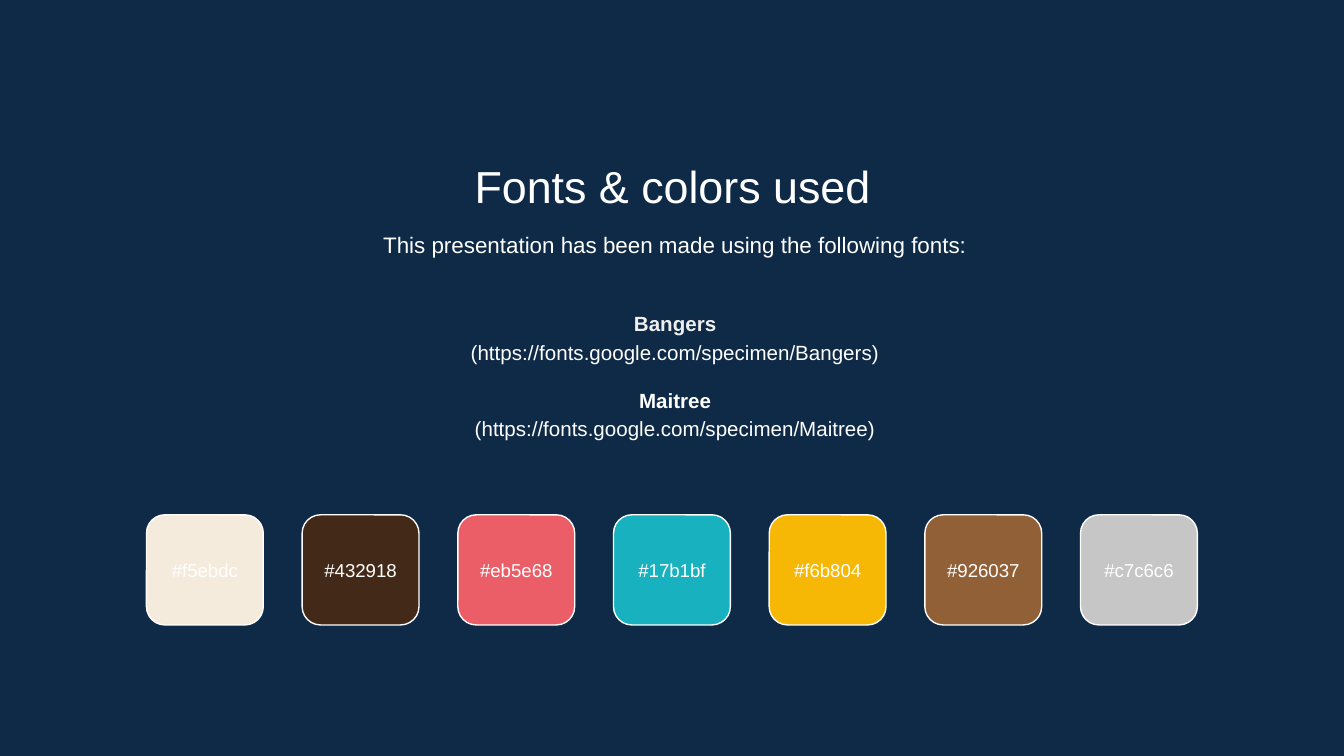
from dataclasses import dataclass

from pptx import Presentation
from pptx.dml.color import RGBColor
from pptx.enum.shapes import MSO_SHAPE
from pptx.enum.text import MSO_ANCHOR, PP_ALIGN
from pptx.util import Pt

CENTER = PP_ALIGN.CENTER
TOP, MIDDLE = MSO_ANCHOR.TOP, MSO_ANCHOR.MIDDLE
ROUNDED = MSO_SHAPE.ROUNDED_RECTANGLE

TITLE = "Fonts & colors used"
INTRO = "This presentation has been made using the following fonts:"
FONTS = [
    ("Bangers", "(https://fonts.google.com/specimen/Bangers)"),
    ("Maitree", "(https://fonts.google.com/specimen/Maitree)"),
]
SWATCHES = ["f5ebdc", "432918", "eb5e68", "17b1bf", "f6b804", "926037", "c7c6c6"]


@dataclass(frozen=True)
class Theme:
    font: str = "Arial"
    background: str = "0E2A47"
    text: str = "FFFFFF"
    first_name: str = "EFEFEF"
    title_size: int = 24
    intro_size: int = 12
    font_list_size: int = 11
    swatch_size: int = 10
    line_spacing: float = 1.15


THEME = Theme()

SLIDE_WIDTH, SLIDE_HEIGHT = 720, 405
TEXT_WIDTH = 555
SWATCH_LEFT, SWATCH_TOP = 78.5, 275.8
SWATCH_WIDTH, SWATCH_HEIGHT, SWATCH_PITCH = 62.6, 59, 83.4
FONT_GAP = 10.5


def rgb(code):
    return RGBColor.from_string(code.upper())


def prepare_frame(shape, anchor, top_inset=7.2):
    frame = shape.text_frame
    frame.word_wrap = True
    frame.vertical_anchor = anchor
    frame.margin_left = frame.margin_right = frame.margin_bottom = Pt(7.2)
    frame.margin_top = Pt(top_inset)
    return frame


def write(paragraph, text, size, color=THEME.text, bold=False, spacing=1.0):
    paragraph.text = text
    paragraph.alignment = CENTER
    paragraph.line_spacing = spacing
    font = paragraph.font
    font.name, font.size, font.bold = THEME.font, Pt(size), bold
    font.color.rgb = rgb(color)


def add_title(slide):
    title = slide.shapes.title
    title.left, title.top = Pt(82.8), Pt(74.9)
    title.width, title.height = Pt(TEXT_WIDTH), Pt(38.2)
    frame = prepare_frame(title, TOP, top_inset=10)
    write(frame.paragraphs[0], TITLE, THEME.title_size)


def add_intro(slide):
    box = slide.shapes.add_textbox(Pt(84.2), Pt(114.5), Pt(TEXT_WIDTH), Pt(34.6))
    frame = prepare_frame(box, TOP)
    write(frame.paragraphs[0], INTRO, THEME.intro_size, spacing=THEME.line_spacing)


def add_font_list(slide):
    box = slide.shapes.add_textbox(Pt(84.2), Pt(151.2), Pt(TEXT_WIDTH), Pt(98.6))
    frame = prepare_frame(box, MIDDLE)
    for index, (name, address) in enumerate(FONTS):
        heading = frame.add_paragraph() if index else frame.paragraphs[0]
        color = THEME.text if index else THEME.first_name
        write(heading, name, THEME.font_list_size, color, True, THEME.line_spacing)
        if index:
            heading.space_before = Pt(FONT_GAP)
        write(frame.add_paragraph(), address, THEME.font_list_size,
              spacing=THEME.line_spacing)


def add_swatch(slide, index, code):
    swatch = slide.shapes.add_shape(
        ROUNDED, Pt(SWATCH_LEFT + index * SWATCH_PITCH), Pt(SWATCH_TOP),
        Pt(SWATCH_WIDTH), Pt(SWATCH_HEIGHT))
    swatch.shadow.inherit = False
    swatch.fill.solid()
    swatch.fill.fore_color.rgb = rgb(code)
    swatch.line.color.rgb = rgb(THEME.text)
    swatch.line.width = Pt(0.75)
    frame = prepare_frame(swatch, MIDDLE)
    frame.word_wrap = False
    write(frame.paragraphs[0], f"#{code}", THEME.swatch_size)


def main():
    presentation = Presentation()
    presentation.slide_width = Pt(SLIDE_WIDTH)
    presentation.slide_height = Pt(SLIDE_HEIGHT)
    slide = presentation.slides.add_slide(presentation.slide_layouts[5])
    slide.background.fill.solid()
    slide.background.fill.fore_color.rgb = rgb(THEME.background)

    add_title(slide)
    add_intro(slide)
    add_font_list(slide)
    for index, code in enumerate(SWATCHES):
        add_swatch(slide, index, code)
    presentation.save("out.pptx")


if __name__ == "__main__":
    main()
